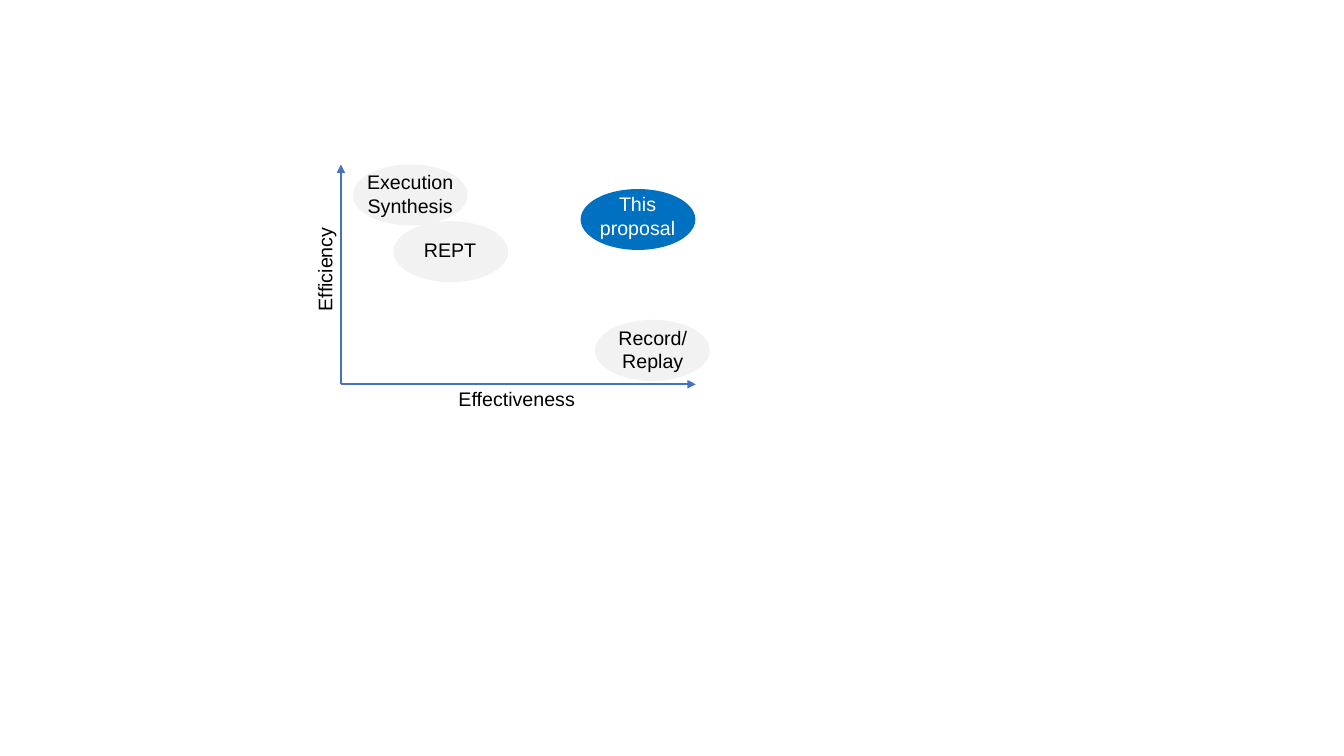
from lxml import etree
from pptx import Presentation
from pptx.dml.color import RGBColor
from pptx.enum import shapes, text
from pptx.oxml.ns import qn
from pptx.util import Pt

BLACK = RGBColor(0x00, 0x00, 0x00)
WHITE = RGBColor(0xFF, 0xFF, 0xFF)
GREY = RGBColor(0xF2, 0xF2, 0xF2)
BLUE = RGBColor(0x00, 0x70, 0xC0)
AXIS = RGBColor(0x44, 0x72, 0xC4)

deck = Presentation()
deck.slide_width, deck.slide_height = Pt(960), Pt(540)
slide = deck.slides.add_slide(deck.slide_layouts[6])


def add_label(words, left, top, width, height, color=BLACK, wrap=False):
    box = slide.shapes.add_textbox(Pt(left), Pt(top), Pt(width), Pt(height))
    frame = box.text_frame
    frame.text = words
    frame.word_wrap = wrap
    frame.auto_size = text.MSO_AUTO_SIZE.SHAPE_TO_FIT_TEXT
    for para in frame.paragraphs:
        if not wrap:
            para.alignment = text.PP_ALIGN.CENTER
        for run in para.runs:
            run.font.name = "Arial"
            run.font.size = Pt(14)
            run.font.color.rgb = color
    return box


# Axes from a shared zero point
zero_x, zero_y = 243.5, 274.5
for end_x, end_y in [(zero_x, 117.5), (497, zero_y)]:
    axis = slide.shapes.add_connector(
        shapes.MSO_CONNECTOR.STRAIGHT,
        Pt(zero_x), Pt(zero_y), Pt(end_x), Pt(end_y))
    axis.line.color.rgb = AXIS
    axis.line.width = Pt(1.5)
    etree.SubElement(axis.line._get_or_add_ln(), qn("a:tailEnd"), type="triangle")
    etree.SubElement(axis._element.spPr, qn("a:effectLst"))

# Axis titles
add_label("Effectiveness", 320.4, 273, 99.4, 24.5, wrap=True)
side = add_label("Efficiency", 193.7, 178.6, 77, 24.5, wrap=True)
side.rotation = 270

# Approaches: words, oval corner, label box, fill, text colour
items = [
    ("Execution\nSynthesis", (252, 117.5), (254.9, 118.1, 76.3, 41), GREY, BLACK),
    ("REPT", (281, 158), (295.2, 166.3, 52.6, 24.5), GREY, BLACK),
    ("Record/\nReplay", (425, 228.5), (434.2, 229, 64.1, 41), GREY, BLACK),
    ("This\nproposal", (414.7, 135), (421.2, 133.9, 68.4, 41), BLUE, WHITE),
]
for words, (left, top), place, fill, color in items:
    oval = slide.shapes.add_shape(
        shapes.MSO_SHAPE.OVAL, Pt(left), Pt(top), Pt(82), Pt(43.5))
    oval.shadow.inherit = False
    oval.fill.solid()
    oval.fill.fore_color.rgb = fill
    oval.line.fill.background()
    add_label(words, *place, color=color)

deck.save("out.pptx")
